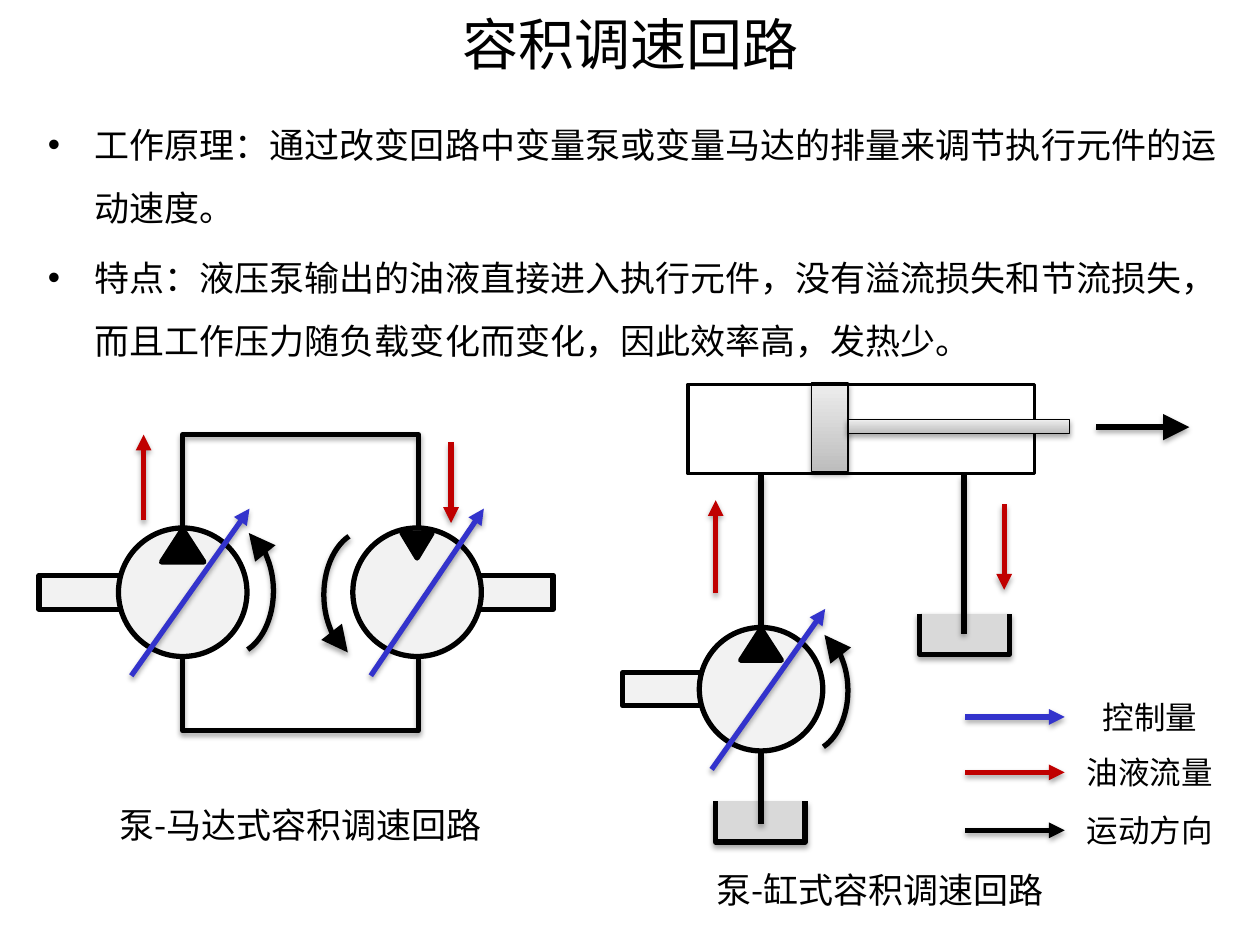
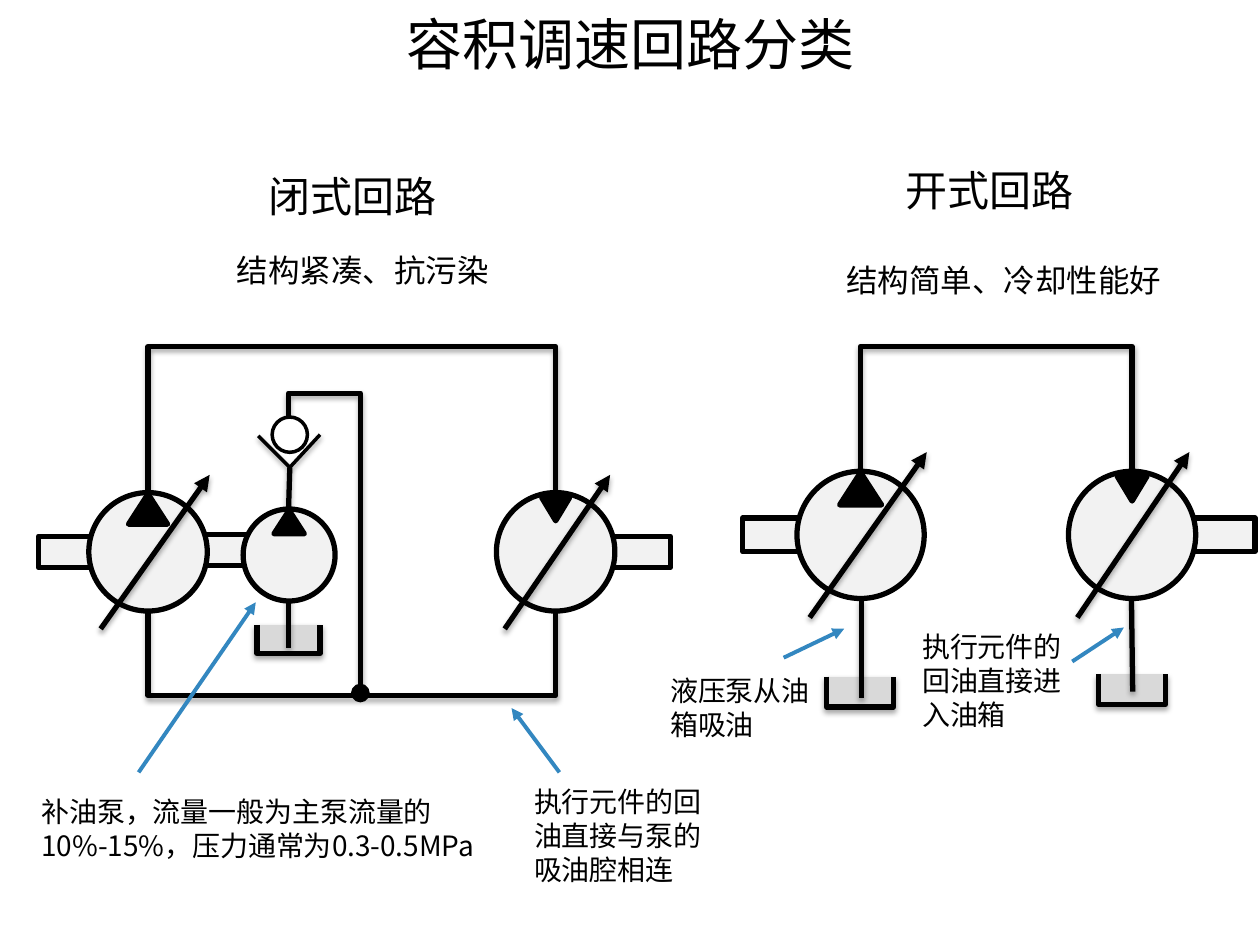
from lxml import etree
from pptx import Presentation
from pptx.dml.color import RGBColor
from pptx.enum.shapes import MSO_CONNECTOR, MSO_SHAPE
from pptx.enum.text import MSO_ANCHOR, MSO_AUTO_SIZE, PP_ALIGN
from pptx.oxml.ns import qn
from pptx.util import Emu, Inches, Pt

RECT = MSO_SHAPE.RECTANGLE
OVAL = MSO_SHAPE.OVAL
TRIANGLE = MSO_SHAPE.ISOSCELES_TRIANGLE
ARC = MSO_SHAPE.ARC
STRAIGHT = MSO_CONNECTOR.STRAIGHT
CENTER, LEFT = PP_ALIGN.CENTER, PP_ALIGN.LEFT

BLACK = RGBColor(0x00, 0x00, 0x00)
WHITE = RGBColor(0xFF, 0xFF, 0xFF)
BODY_GRAY = RGBColor(0xF2, 0xF2, 0xF2)
OIL_GRAY = RGBColor(0xD9, 0xD9, 0xD9)
STEEL_DARK = RGBColor(0xBD, 0xBD, 0xBD)
STEEL_LIGHT = RGBColor(0xEE, 0xEE, 0xEE)
CONTROL_BLUE = RGBColor(0x33, 0x33, 0xCC)
FLOW_RED = RGBColor(0xC0, 0x00, 0x00)
NOTE_BLUE = RGBColor(0x33, 0x87, 0xC0)

FONT = "Noto Sans CJK SC"
SLIDE_WIDTH, SLIDE_HEIGHT = Inches(10), Inches(7.5)
COLUMNS = 100
CELL = SLIDE_WIDTH / COLUMNS
CONTENT_LAYOUT, TITLE_ONLY_LAYOUT = 1, 5


def cells(count):
    return Emu(round(count * CELL))


def place(shape, left, top, width, height):
    shape.left, shape.top = cells(left), cells(top)
    shape.width, shape.height = cells(width), cells(height)


def add_span(para, text, size):
    span = para.add_run()
    span.text = text
    span.font.size = Pt(size)
    span.font.color.rgb = BLACK
    span.font.name = FONT
    etree.SubElement(span.font._element, qn("a:ea"), typeface=FONT)


def set_effects(shape, shadow):
    effects = etree.SubElement(shape._element.spPr, qn("a:effectLst"))
    if shadow:
        outer = etree.SubElement(
            effects, qn("a:outerShdw"), blurRad=str(Pt(3.1)),
            dist=str(Pt(1.8)), dir="5400000", rotWithShape="0")
        color = etree.SubElement(outer, qn("a:srgbClr"), val=str(BLACK))
        etree.SubElement(color, qn("a:alpha"), val="35000")


def set_line(shape, color, width):
    shape.line.color.rgb = color
    shape.line.width = Pt(width)


def set_head(shape, end, size):
    line = shape.line._get_or_add_ln()
    etree.SubElement(line, qn(f"a:{end}"), type="triangle", w=size, len=size)


def finish(shape, fill, width, shadow):
    if fill is None:
        shape.fill.background()
    else:
        shape.fill.solid()
        shape.fill.fore_color.rgb = fill
    set_line(shape, BLACK, width)
    set_effects(shape, shadow)


def add_block(page, kind, left, top, width, height, fill, line=3, shadow=False):
    block = page.shapes.add_shape(
        kind, cells(left), cells(top), cells(width), cells(height))
    finish(block, fill, line, shadow)
    return block


def add_steel(page, left, top, width, height):
    steel = add_block(page, RECT, left, top, width, height, WHITE, 0.75, True)
    steel.fill.gradient()
    steel.fill.gradient_angle = 90
    for stop, color in zip(steel.fill.gradient_stops, (STEEL_DARK, STEEL_LIGHT)):
        stop.color.rgb = color


def add_pipe(page, points, fill=None, width=3):
    corners = [(cells(x), cells(y)) for x, y in points]
    builder = page.shapes.build_freeform(*corners[0])
    builder.add_line_segments(corners[1:], close=False)
    finish(builder.convert_to_shape(), fill, width, True)


def add_line(page, start, end, color=BLACK, width=3, head=None, shadow=True):
    line = page.shapes.add_connector(
        STRAIGHT, *(cells(value) for value in (*start, *end)))
    set_line(line, color, width)
    if head:
        set_head(line, "tailEnd", head)
    set_effects(line, shadow)


def add_note_arrow(page, start, end):
    add_line(page, start, end, NOTE_BLUE, 2.25, "med", False)


def add_turn(page, left, top, width, height, rotation=0):
    turn = add_block(page, ARC, left, top, width, height, None, 3, True)
    turn.adjustments[0] = 172.839
    turn.adjustments[1] = 43.906
    turn.rotation = rotation
    set_head(turn, "headEnd", "lg")


def add_machine(page, x, y, size, shaft=0, motor=False):
    radius, thickness, overlap = size / 2, size * 0.265, 0.8
    if shaft:
        left = x + radius - overlap if motor else x - radius - shaft
        add_block(page, RECT, left, y - thickness / 2,
                  shaft + overlap, thickness, BODY_GRAY)
    add_block(page, OVAL, x - radius, y - radius, size, size, BODY_GRAY)
    width, height, gap = (0.235, 0.195, 0.4) if motor else (0.33, 0.255, 0.1)
    mark = add_block(page, TRIANGLE, x - size * width / 2, y - radius + gap,
                     size * width, size * height, BLACK)
    mark.rotation = 180 if motor else 0


def add_control(page, x, y, size, color, tail=-0.4, tip=0.52):
    add_line(page, (x + tail * size, y + 0.65 * size),
             (x + tip * size, y - 0.65 * size), color, head="med")


def add_tank(page, left, top, width):
    right, bottom = left + width, top + width * 0.455
    add_pipe(page, [(left, top), (left, bottom), (right, bottom), (right, top)],
             OIL_GRAY)


def add_loop(page, left, right, start, level):
    add_pipe(page, [(left, start), (left, level), (right, level), (right, start)])


def add_label(page, text, left, top, width, height, size, align=CENTER, wrap=True):
    box = page.shapes.add_textbox(
        cells(left), cells(top), cells(width), cells(height))
    box.text_frame.word_wrap = wrap
    para = box.text_frame.paragraphs[0]
    para.alignment = align
    add_span(para, text, size)


def add_page(deck, layout, title):
    page = deck.slides.add_slide(deck.slide_layouts[layout])
    place(page.shapes.title, 14.6, 0, 70.9, 6.8)
    frame = page.shapes.title.text_frame
    frame.auto_size = MSO_AUTO_SIZE.NONE
    frame.vertical_anchor = MSO_ANCHOR.MIDDLE
    frame.paragraphs[0].alignment = CENTER
    add_span(frame.paragraphs[0], title, 32)
    return page


def fill_body(page, points):
    body = page.placeholders[1]
    place(body, 2.8, 7.6, 95.3, 22.5)
    frame = body.text_frame
    frame.auto_size = MSO_AUTO_SIZE.NONE
    for index, text in enumerate(points):
        para = frame.add_paragraph() if index else frame.paragraphs[0]
        properties = para._p.get_or_add_pPr()
        properties.set("marL", str(cells(3.7)))
        properties.set("indent", str(cells(-3.8)))
        etree.SubElement(properties, qn("a:buChar"), char="•")
        para.line_spacing = 1.5
        para.space_before = Pt(4 if index else 0)
        add_span(para, text, 20)


def draw_pump_motor(page):
    pump, motor, y, size = 14.5, 33.1, 47, 10.2
    add_machine(page, pump, y, size, 6.3)
    add_machine(page, motor, y, size, 5.7, motor=True)
    add_loop(page, pump, 33.2, 42, 34.5)
    add_loop(page, pump, 33.2, 52, 58)
    add_control(page, pump, y, size, CONTROL_BLUE)
    add_control(page, motor, y, size, CONTROL_BLUE, tail=-0.36)
    add_line(page, (11.4, 41.3), (11.4, 34.5), FLOW_RED, head="med")
    add_line(page, (35.8, 35.1), (35.8, 41.5), FLOW_RED, head="med")
    add_turn(page, 14.8, 41.8, 6.9, 10.2)
    add_turn(page, 25.7, 42.1, 6.8, 10.2, 180)
    add_label(page, "泵-马达式容积调速回路", 6, 63.3, 35.7, 5.5, 20)


def draw_pump_cylinder(page):
    pump, outlet, y, size = 60.4, 76.5, 54.7, 9.8
    add_machine(page, pump, y, size, 6.1)
    add_tank(page, 56.8, 63.6, 7.1)
    add_line(page, (pump, 59.6), (pump, 65.4))
    add_tank(page, 73, 48.7, 7.1)
    add_line(page, (outlet, 37.7), (outlet, 50.3))
    add_control(page, pump, y, size, CONTROL_BLUE)
    add_line(page, (56.8, 47.1), (56.8, 39.7), FLOW_RED, head="med")
    add_steel(page, 64.4, 30.4, 2.9, 7)
    add_block(page, RECT, 54.6, 30.5, 27.5, 7.1, None, 2)
    add_steel(page, 67.3, 33.3, 17.6, 1.1)
    add_line(page, (pump, 37.7), (pump, 49.9))
    add_turn(page, 60.7, 49.9, 6.6, 9.8)
    add_line(page, (87, 33.9), (94.4, 33.9), head="lg")
    add_line(page, (79.7, 40), (79.7, 46.8), FLOW_RED, head="med")
    add_label(page, "泵-缸式容积调速回路", 52.7, 68.4, 34.3, 5.3, 20)


def draw_legend(page):
    entries = [("控制量", CONTROL_BLUE, 56.9), ("油液流量", FLOW_RED, 61.3),
               ("运动方向", BLACK, 65.9)]
    for text, color, y in entries:
        add_line(page, (76.6, y), (84.5, y), color, head="med")
        add_label(page, text, 83.7, y - 2, 15.1, 4, 18)


def draw_open_circuit(page):
    pump, motor, y, size = 68.3, 89.85, 42.45, 10.1
    add_machine(page, pump, y, size, 4.3)
    add_machine(page, motor, y, size, 4.7, motor=True)
    add_loop(page, pump, motor, 37.5, 27.5)
    add_control(page, pump, y, size, BLACK)
    add_control(page, motor, y, size, BLACK, -0.43, 0.45)
    add_tank(page, 65.6, 53.7, 5.3)
    add_line(page, (68.4, 47.6), (68.4, 55.4))
    add_tank(page, 87.2, 53.5, 5.3)
    add_line(page, (89.8, 47.5), (89.9, 54.9))
    add_label(page, "开式回路", 66.7, 12.6, 23.7, 5.4, 24)
    add_label(page, "结构简单、冷却性能好", 66.2, 20.2, 27.3, 4, 18, LEFT, False)


def draw_closed_circuit(page):
    pump, charge, motor, y, size = 11.75, 22.95, 44.1, 43.8, 9.4
    add_block(page, RECT, 14.5, 42.4, 6.4, 2.5, BODY_GRAY)
    add_machine(page, pump, y, size, 4)
    add_machine(page, motor, y, size, 4.4, motor=True)
    add_loop(page, pump, motor, 39.2, 27.5)
    add_control(page, pump, y, size, BLACK)
    add_control(page, motor, y, size, BLACK, -0.43, 0.46)
    add_loop(page, pump, motor, 48.4, 55.2)
    add_pipe(page, [(22.9, 34.4), (22.9, 31.2), (28.6, 31.2), (28.6, 55)])
    add_tank(page, 20.4, 49.6, 5)
    add_line(page, (22.9, 47.3), (22.9, 51.4))
    add_machine(page, charge, 44.05, 7.3)
    add_block(page, OVAL, 21.6, 33.1, 2.8, 2.8, WHITE, 2)
    add_pipe(page, [(20.5, 34.6), (23, 37.1), (25.4, 34.5)], width=2)
    add_line(page, (23, 37.1), (22.9, 40.5))
    add_block(page, OVAL, 28, 54.4, 1.2, 1.2, BLACK, 2)
    add_label(page, "闭式回路", 16.9, 13, 22.1, 5.1, 24)
    add_label(page, "结构紧凑、抗污染", 17.8, 19.4, 22.2, 4, 18, LEFT, False)


def add_circuit_notes(page):
    notes = [
        ("补油泵，流量一般为主泵流量的10%-15%，压力通常为0.3-0.5MPa",
         (2.3, 62.6, 37.8, 6.4), (11, 61.3), (20.3, 47.8)),
        ("执行元件的回油直接与泵的吸油腔相连",
         (41.4, 61.8, 16.2, 9.1), (44.4, 61.3), (40.6, 56.2)),
        ("液压泵从油箱吸油",
         (52.2, 53, 14.1, 6.4), (62.2, 52.2), (67, 49.9)),
        ("执行元件的回油直接进入油箱",
         (72.2, 49.5, 14.1, 9.1), (85.1, 52.5), (89.2, 49.8)),
    ]
    for text, area, start, end in notes:
        add_label(page, text, *area, 16, LEFT)
        add_note_arrow(page, start, end)


def main():
    deck = Presentation()
    deck.slide_width, deck.slide_height = SLIDE_WIDTH, SLIDE_HEIGHT

    principle = add_page(deck, CONTENT_LAYOUT, "容积调速回路")
    fill_body(principle, [
        "工作原理：通过改变回路中变量泵或变量马达的排量来调节执行元件的运动速度。",
        "特点：液压泵输出的油液直接进入执行元件，没有溢流损失和节流损失，"
        "而且工作压力随负载变化而变化，因此效率高，发热少。",
    ])
    draw_pump_motor(principle)
    draw_pump_cylinder(principle)
    draw_legend(principle)

    types = add_page(deck, TITLE_ONLY_LAYOUT, "容积调速回路分类")
    draw_open_circuit(types)
    draw_closed_circuit(types)
    add_circuit_notes(types)

    deck.save("out.pptx")


if __name__ == "__main__":
    main()
